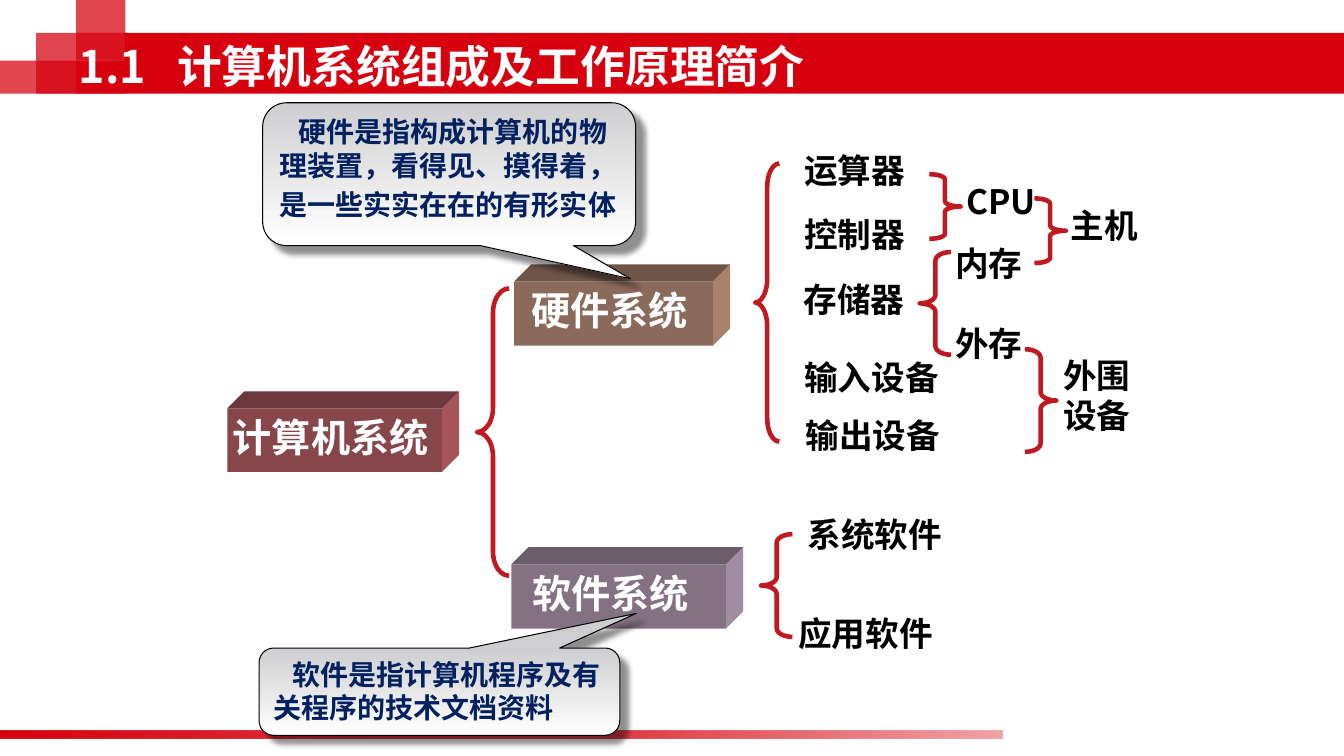
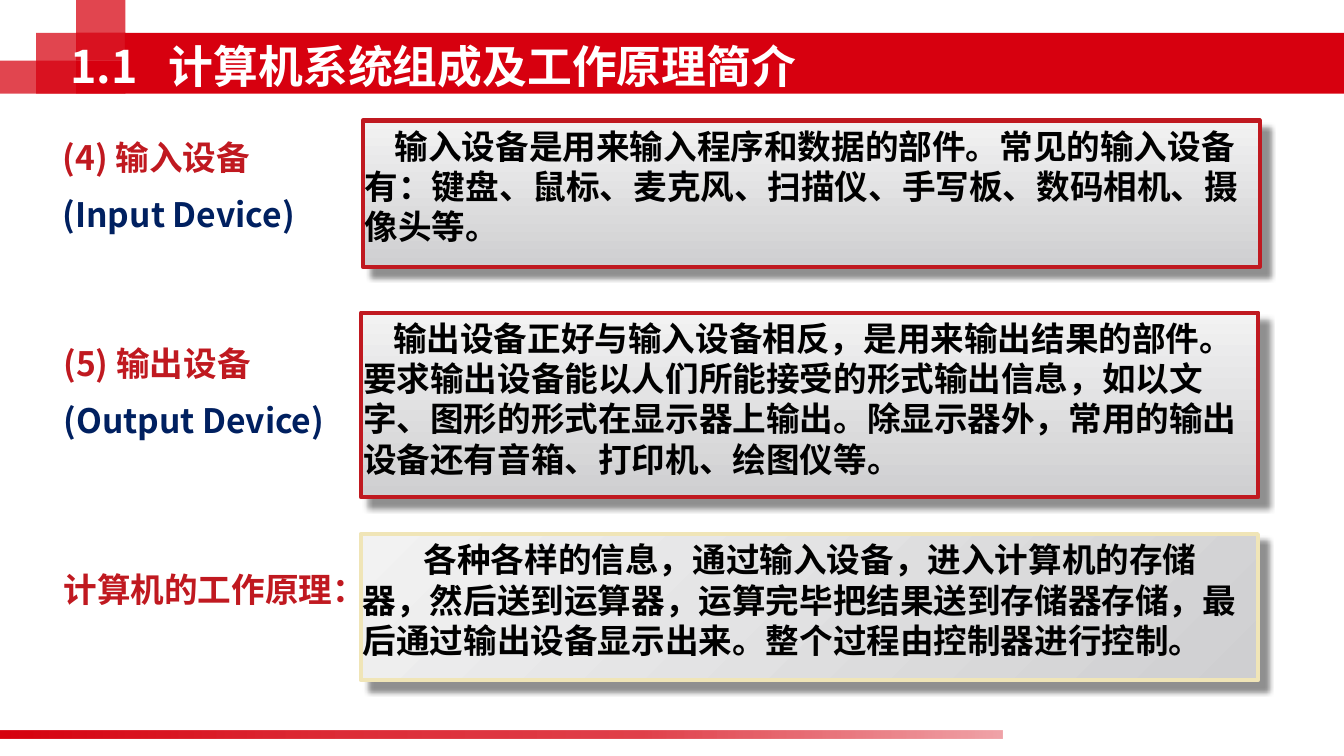
import lxml.etree
import pptx
import pptx.dml.color
import pptx.enum.shapes
import pptx.enum.text
import pptx.oxml.ns
import pptx.util

Cm = pptx.util.Cm
Pt = pptx.util.Pt
qn = pptx.oxml.ns.qn
SHAPE = pptx.enum.shapes.MSO_SHAPE
ANCHOR = pptx.enum.text.MSO_ANCHOR
ALIGN = pptx.enum.text.PP_ALIGN

FONT = "Noto Sans CJK SC"
TITLE = "1.1\t计算机系统组成及工作原理简介"
COLORS = {
    "band": "D7000F", "accent": "C01920", "navy": "002060",
    "black": "000000", "white": "FFFFFF", "grey": "CFCFD1",
    "pale": "F2F2F2", "cream": "F0E5B7",
    "computer": "BD6368", "hardware": "C2967F", "software": "BAA1B9",
}
LABEL_HEIGHT = 1.27


def rgb(name):
    return pptx.dml.color.RGBColor.from_string(COLORS[name])


def shaded(name, factor):
    """Darken a named colour."""
    return pptx.dml.color.RGBColor(*(round(part * factor) for part in rgb(name)))


def lengths(box):
    return [Cm(value) for value in box]


def add_child(parent, tag, **attributes):
    child = lxml.etree.SubElement(parent, qn(tag))
    for key, value in attributes.items():
        child.set(key, str(value))
    return child


# Text
def style(para, size, color, align=ALIGN.LEFT):
    para.alignment = align
    font = para.font
    font.size, font.bold = Pt(size), True
    font.color.rgb = rgb(color)
    font.name = FONT
    add_child(para._p.pPr.find(qn("a:defRPr")), "a:ea", typeface=FONT)


def fill_frame(shape, lines, size, align=ALIGN.LEFT, indent=0, gap=0, insets=None):
    """Write (text, colour) lines into a shape, with a gap between them."""
    frame = shape.text_frame
    frame.word_wrap = True
    frame.vertical_anchor = ANCHOR.TOP
    if insets:
        frame.margin_left, frame.margin_right = lengths(insets)
    for index, (text, color) in enumerate(lines):
        para = frame.add_paragraph() if index else frame.paragraphs[0]
        para.text = text
        if index:
            para.space_before = Pt(gap)
        properties = para._p.get_or_add_pPr()
        properties.set("hangingPunct", "0")
        if indent:
            properties.set("indent", str(Cm(indent)))
        style(para, size, color, align)


def add_label(page, box, *lines):
    label = page.shapes.add_textbox(*lengths(box))
    fill_frame(label, lines, 24, gap=12)


# Shapes
def add_plain(page, kind, box):
    shape = page.shapes.add_shape(kind, *lengths(box))
    shape.shadow.inherit = False
    return shape


def set_gradient(shape, stops, angle):
    """Stops are (position, colour, opacity), all in percent."""
    shape.fill.gradient()
    gradient = shape._element.spPr.find(qn("a:gradFill"))
    stop_list = gradient.find(qn("a:gsLst"))
    for old in list(stop_list):
        stop_list.remove(old)
    for position, color, opacity in stops:
        stop = add_child(stop_list, "a:gs", pos=position * 1000)
        paint = add_child(stop, "a:srgbClr", val=COLORS[color])
        if opacity < 100:
            add_child(paint, "a:alpha", val=opacity * 1000)
    gradient.find(qn("a:lin")).set("ang", str(angle * 60000))


def drop_shadow(shape):
    effects = shape._element.spPr.find(qn("a:effectLst"))
    shadow = add_child(effects, "a:outerShdw", blurRad=Pt(4), dist=Pt(8.4),
                       dir=45 * 60000, algn="tl", rotWithShape=0)
    paint = add_child(shadow, "a:srgbClr", val=COLORS["black"])
    add_child(paint, "a:alpha", val=43000)


def set_line(shape, color, width):
    shape.line.color.rgb = rgb(color)
    shape.line.width = Pt(width)


def add_brace(page, kind, box, curve):
    brace = add_plain(page, kind, box)
    brace.adjustments[0] = curve
    brace.fill.background()
    set_line(brace, "accent", 3.25)


def add_block(page, box, text, color, depth=0.43):
    """A solid block: front face plus a top and a right face."""
    left, top, width, height = box
    right, bottom = left + width, top + height
    front = add_plain(page, SHAPE.RECTANGLE, box)
    front.fill.solid()
    front.fill.fore_color.rgb = shaded(color, 0.71)
    front.line.fill.background()
    fill_frame(front, [(text, "white")], 28, ALIGN.CENTER, insets=(0.05, 0.25))

    far_corner = (right + depth, top - depth)
    faces = [
        (0.57, [(left, top), (left + depth, top - depth), far_corner, (right, top)]),
        (0.87, [(right, top), far_corner, (right + depth, bottom - depth), (right, bottom)]),
    ]
    for factor, corners in faces:
        points = [tuple(lengths(corner)) for corner in corners]
        builder = page.shapes.build_freeform(*points[0])
        builder.add_line_segments(points[1:], close=True)
        face = builder.convert_to_shape()
        face.shadow.inherit = False
        face.fill.solid()
        face.fill.fore_color.rgb = shaded(color, factor)
        face.line.fill.background()


def add_callout(page, box, text, tip):
    callout = add_plain(page, SHAPE.ROUNDED_RECTANGULAR_CALLOUT, box)
    for index, value in enumerate((*tip, 0.167)):
        callout.adjustments[index] = value
    set_gradient(callout, [(0, "grey", 100), (100, "white", 100)], 90)
    set_line(callout, "black", 0.75)
    drop_shadow(callout)
    fill_frame(callout, [(text, "navy")], 20, indent=0.48)
    return callout


def add_panel(page, box, text, border, angle, indent):
    panel = add_plain(page, SHAPE.RECTANGLE, box)
    set_gradient(panel, [(0, "grey", 100), (100, "pale", 100)], angle)
    set_line(panel, border, 3)
    drop_shadow(panel)
    fill_frame(panel, [(text, "black")], 24, indent=indent, insets=(0.05, 0.25))


# Shared layout
def build_layout(layout, page):
    """Draw the band, squares and footer bar, then move them to the layout."""
    squares = [
        ((0, 1.53, 3.15, 0.83), 73),
        ((0.91, 0.83, 1.01, 1.53), 73),
        ((1.92, 0, 1.24, 1.53), 73),
        ((1.92, 0.82, 1.24, 0.71), 73),
        ((1.92, 1.53, 1.24, 0.83), 100),
        ((3.15, 0.83, 30.72, 1.53), 100),
    ]
    parts = []
    for box, opacity in squares:
        part = add_plain(page, SHAPE.RECTANGLE, box)
        part.fill.solid()
        part.fill.fore_color.rgb = rgb("band")
        if opacity < 100:
            paint = part._element.spPr.find(qn("a:solidFill"))[0]
            add_child(paint, "a:alpha", val=opacity * 1000)
        parts.append(part)
    footer = add_plain(page, SHAPE.RECTANGLE, (0, 18.4, 25.27, 0.22))
    fades = ((0, 100), (31, 84), (64, 75), (100, 36))
    set_gradient(footer, [(at, "band", opacity) for at, opacity in fades], 0)
    for part in [*parts, footer]:
        part.line.fill.background()
        layout.shapes._spTree.append(part._element)


def add_title(page, left):
    title = page.shapes.title
    title.left, title.top, title.width, title.height = lengths((left, 0.81, 22.61, 1.7))
    frame = title.text_frame
    frame.auto_size = pptx.enum.text.MSO_AUTO_SIZE.NONE
    frame.vertical_anchor = ANCHOR.MIDDLE
    para = frame.paragraphs[0]
    para.text = TITLE
    tabs = add_child(para._p.get_or_add_pPr(), "a:tabLst")
    add_child(tabs, "a:tab", pos=Cm(2.48), algn="l")
    style(para, 32, "white")


# Slide 1: system tree
def add_branch(page, origin, braces, labels):
    """Place braces and labels relative to the origin of one branch."""
    left, top = origin
    for kind, x, y, width, height, curve in braces:
        add_brace(page, kind, (left + x, top + y, width, height), curve)
    for text, x, y, width, rows in labels:
        height = LABEL_HEIGHT + (rows - 1) * 1.04
        add_label(page, (left + x, top + y, width, height), (text, "black"))


def add_hardware(page, origin):
    opening, closing = SHAPE.LEFT_BRACE, SHAPE.RIGHT_BRACE
    braces = [
        (opening, 0.03, 0.52, 0.61, 7.01, 0.973),
        (opening, 4.18, 2.75, 0.79, 2.59, 0.271),
        (closing, 4.42, 0.79, 0.79, 1.63, 0.169),
        (closing, 7.07, 1.4, 0.79, 1.63, 0.169),
        (closing, 6.83, 5.2, 0.79, 2.59, 0.271),
    ]
    labels = [
        ("运算器", 1.02, 0.06, 3.4, 1),
        ("控制器", 1.02, 1.67, 3.4, 1),
        ("存储器", 1, 3.31, 3.4, 1),
        ("输入设备", 1.02, 5.26, 4.11, 1),
        ("输出设备", 1.05, 6.73, 4.11, 1),
        ("内存", 4.82, 2.39, 2.59, 1),
        ("外存", 4.82, 4.4, 2.59, 1),
        ("CPU", 5.1, 0.84, 2.59, 1),
        ("主机", 7.73, 1.45, 2.59, 1),
        ("外围设备", 7.55, 5.21, 2.59, 2),
    ]
    add_branch(page, origin, braces, labels)


def add_software(page, origin):
    braces = [(SHAPE.LEFT_BRACE, 0, 0.66, 0.79, 2.59, 0.271)]
    labels = [("系统软件", 0.92, 0.03, 4.11, 1), ("应用软件", 0.69, 2.53, 4.11, 1)]
    add_branch(page, origin, braces, labels)


def build_system_slide(page):
    add_block(page, (5.73, 10.29, 5.41, 1.6), "计算机系统", "computer")
    add_block(page, (12.96, 7.09, 5.01, 1.62), "硬件系统", "hardware")
    add_block(page, (12.89, 14.22, 5.41, 1.62), "软件系统 ", "software")
    add_brace(page, SHAPE.LEFT_BRACE, (12.02, 7.27, 0.81, 7.24), 0.753)
    add_hardware(page, (19, 3.6))
    add_software(page, (19.18, 12.8))
    hardware_note = add_callout(
        page, (6.62, 2.59, 9.4, 3.6),
        "硬件是指构成计算机的物理装置，看得见、摸得着，是一些实实在在的有形实体",
        (0.486, 0.732))
    # A larger closing space opens up the last line
    closing_span = hardware_note.text_frame.paragraphs[0].add_run()
    closing_span.text = " "
    closing_span.font.size = Pt(24)
    add_callout(page, (6.53, 16.33, 9.09, 2.2),
                "软件是指计算机程序及有关程序的技术文档资料", (0.546, -0.897))
    add_title(page, 1.73)


# Slide 2: devices and working principle
def add_device_row(page, box, label_place, lines, text, border="accent", angle=270, indent=0.76):
    """A label at the left, its explanation panel in the box."""
    left, top, width, height = box
    x, y = label_place
    label_height = LABEL_HEIGHT + (len(lines) - 1) * 1.55
    add_label(page, (left + x, top + y, 8.4, label_height), *lines)
    add_panel(page, box, text, border, angle, indent)


def build_device_slide(page):
    add_device_row(
        page, (9.14, 3.04, 22.61, 3.68), (-7.81, 0.28),
        [("(4) 输入设备", "accent"), ("(Input Device)", "navy")],
        "输入设备是用来输入程序和数据的部件。常见的输入设备有：键盘、鼠标、麦克风、"
        "扫描仪、手写板、数码相机、摄像头等。")
    add_device_row(
        page, (9.1, 7.88, 22.61, 4.65), (-7.75, 0.64),
        [("(5) 输出设备", "accent"), ("(Output Device)", "navy")],
        "输出设备正好与输入设备相反，是用来输出结果的部件。要求输出设备能以人们所能接受的"
        "形式输出信息，如以文字、图形的形式在显示器上输出。除显示器外，常用的输出设备还有"
        "音箱、打印机、绘图仪等。")
    add_device_row(
        page, (9.09, 13.46, 22.61, 3.68), (-7.74, 0.76),
        [("计算机的工作原理：", "accent")],
        "各种各样的信息，通过输入设备，进入计算机的存储器，然后送到运算器，运算完毕把结果"
        "送到存储器存储，最后通过输出设备显示出来。整个过程由控制器进行控制。",
        border="cream", angle=225, indent=1.54)
    add_title(page, 1.52)


def main():
    deck = pptx.Presentation()
    deck.slide_width, deck.slide_height = Cm(33.87), Cm(19.05)
    layout = deck.slide_layouts[5]
    pages = [deck.slides.add_slide(layout) for _ in range(2)]
    build_layout(layout, pages[0])
    build_system_slide(pages[0])
    build_device_slide(pages[1])
    deck.save("out.pptx")


if __name__ == "__main__":
    main()
